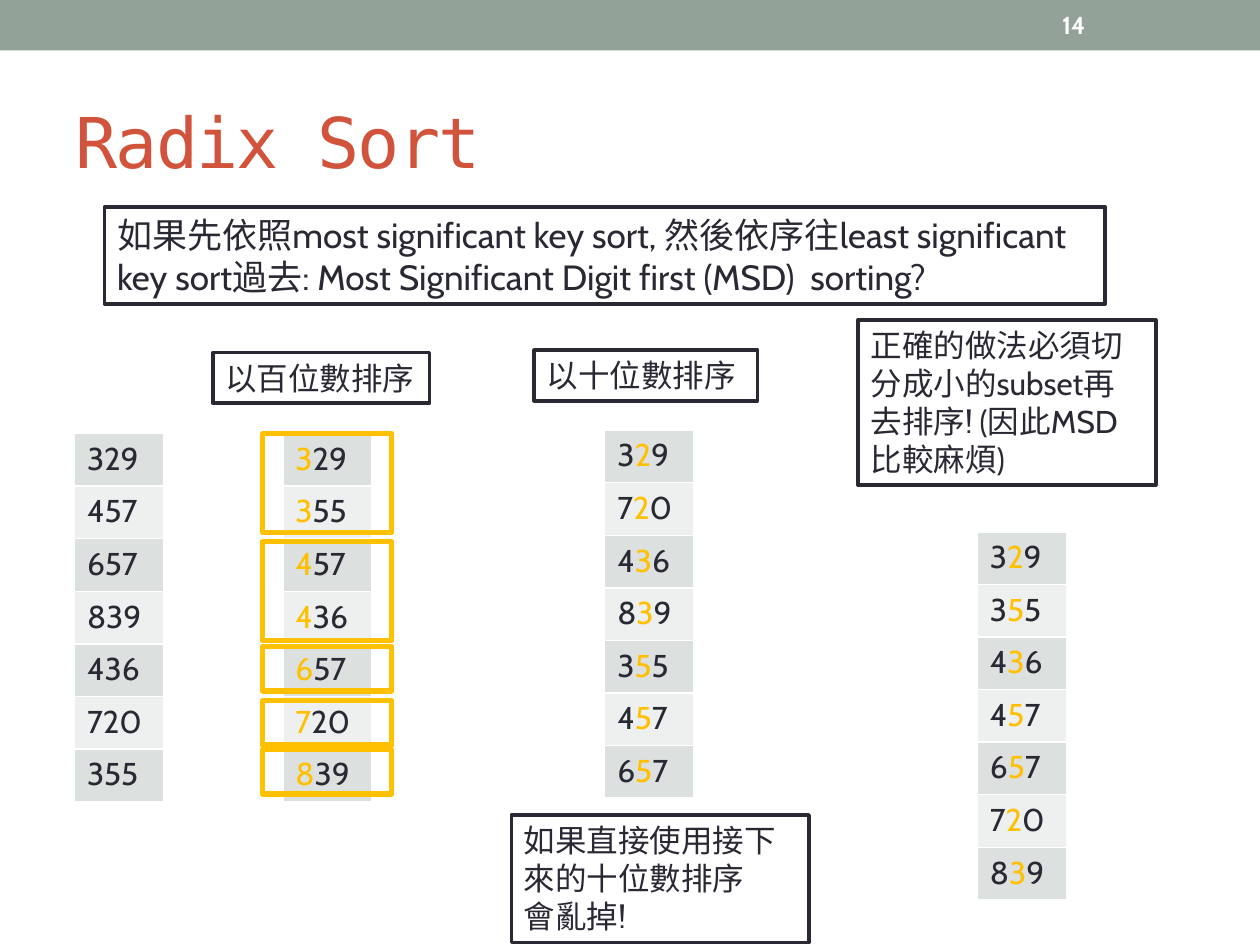
from lxml.etree import SubElement
from pptx import Presentation
from pptx.dml.color import RGBColor
from pptx.enum.shapes import MSO_SHAPE as Preset
from pptx.enum.text import MSO_ANCHOR as Anchor, MSO_AUTO_SIZE as AutoSize, PP_ALIGN as Align
from pptx.oxml.ns import qn
from pptx.util import Cm, Pt

INK = RGBColor(0x29, 0x29, 0x34)
WHITE = RGBColor(0xFF, 0xFF, 0xFF)
SAGE = RGBColor(0x93, 0xA2, 0x99)
RUST = RGBColor(0xD2, 0x53, 0x3C)
GOLD = RGBColor(0xFF, 0xC0, 0x00)
BANDS = (RGBColor(0xDC, 0xE0, 0xDE), RGBColor(0xEE, 0xF0, 0xEF))


class SlideBuilder:
    """Draws styled elements on the current slide, with lengths in centimetres."""

    font = "Cabin"
    cell_width, row_height = 1.8, 1.06

    def __init__(self, page):
        self.page = page

    def add_span(self, para, text, size, color=INK, font=None, bold=False):
        span = para.add_run()
        span.text = text
        span.font.name = font or self.font
        span.font.size = Pt(size)
        span.font.bold = bold
        span.font.color.rgb = color
        return span

    def rectangle(self, place, fill=None, line=None, weight=2.08):
        box = self.page.shapes.add_shape(Preset.RECTANGLE, *map(Cm, place))
        box.shadow.inherit = False
        if fill is None:
            box.fill.background()
        else:
            box.fill.solid()
            box.fill.fore_color.rgb = fill
        if line is None:
            box.line.fill.background()
        else:
            box.line.color.rgb = line
            box.line.width = Pt(weight)
        return box

    def label(self, place, text, size, color, **style):
        frame = self.page.shapes.add_textbox(*map(Cm, place)).text_frame
        frame.word_wrap = True
        frame.vertical_anchor = Anchor.MIDDLE
        return self.add_span(frame.paragraphs[0], text, size, color, **style)

    def note(self, place, lines, size=18, wrap=True):
        frame = self.rectangle(place, WHITE, INK).text_frame
        frame.word_wrap = wrap
        frame.auto_size = AutoSize.SHAPE_TO_FIT_TEXT
        frame.vertical_anchor = Anchor.TOP
        for index, line in enumerate(lines):
            para = frame.add_paragraph() if index else frame.paragraphs[0]
            para.alignment = Align.LEFT
            self.add_span(para, line, size)

    def border(self, cell):
        properties = cell._tc.get_or_add_tcPr()
        for index, side in enumerate(("lnL", "lnR", "lnT", "lnB")):
            line = properties.makeelement(qn(f"a:{side}"), {"w": str(Pt(1))})
            fill = SubElement(line, qn("a:solidFill"))
            SubElement(fill, qn("a:srgbClr"), val=str(WHITE))
            properties.insert(index, line)

    def number_table(self, left, top, numbers, key=None):
        height = self.row_height * len(numbers)
        table = self.page.shapes.add_table(
            len(numbers), 1, Cm(left), Cm(top), Cm(self.cell_width), Cm(height)).table
        table.first_row = False
        for index, number in enumerate(numbers):
            table.rows[index].height = Cm(self.row_height)
            cell = table.cell(index, 0)
            cell.fill.solid()
            cell.fill.fore_color.rgb = BANDS[index % 2]
            self.border(cell)
            para = cell.text_frame.paragraphs[0]
            if key is None:
                self.add_span(para, number, 18)
                continue
            parts = (number[:key], INK), (number[key], GOLD), (number[key + 1:], INK)
            for text, color in parts:
                if text:
                    self.add_span(para, text, 18, color)


def main():
    deck = Presentation()
    deck.slide_width, deck.slide_height = Cm(25.4), Cm(19.05)
    builder = SlideBuilder(deck.slides.add_slide(deck.slide_layouts[6]))

    builder.rectangle((0, 0, 25.4, 1.02), SAGE)
    title = builder.label((1.27, 1.47, 22.86, 2.74), "Radix Sort", 40, RUST,
                          font="DejaVu Sans Mono")
    title.font._element.set("spc", "-100")
    builder.label((21.16, 0.05, 2.97, 0.91), "14", 14, WHITE, bold=True)
    builder.note((2.11, 4.17, 20.17, 1.96), [
        "如果先依照most significant key sort, 然後依序往least significant key sort過去: "
        "Most Significant Digit first (MSD)  sorting?"], size=20)

    builder.number_table(1.5, 8.74, "329 457 657 839 436 720 355".split())
    builder.number_table(5.7, 8.74, "329 355 457 436 657 720 839".split(), key=0)
    builder.number_table(12.19, 8.67, "329 720 436 839 355 457 657".split(), key=1)
    builder.number_table(19.7, 10.72, "329 355 436 457 657 720 839".split(), key=1)

    builder.note((4.29, 7.11, 4.37, 1.02), ["以百位數排序"], wrap=False)
    builder.note((10.77, 7.06, 4.5, 1.02), ["以十位數排序"], wrap=False)
    builder.note((10.31, 16.43, 6, 2.57), ["如果直接使用接下來的十位數排序", "會亂掉!"])
    for top, height in ((8.74, 2), (10.92, 2), (13.03, 0.9), (14.12, 0.9), (15.11, 0.9)):
        builder.rectangle((5.3, top, 2.6, height), line=GOLD, weight=3)
    builder.note((17.3, 6.45, 6, 3.33), ["正確的做法必須切分成小的subset再去排序! (因此MSD比較麻煩)"])

    deck.save("out.pptx")


if __name__ == "__main__":
    main()
